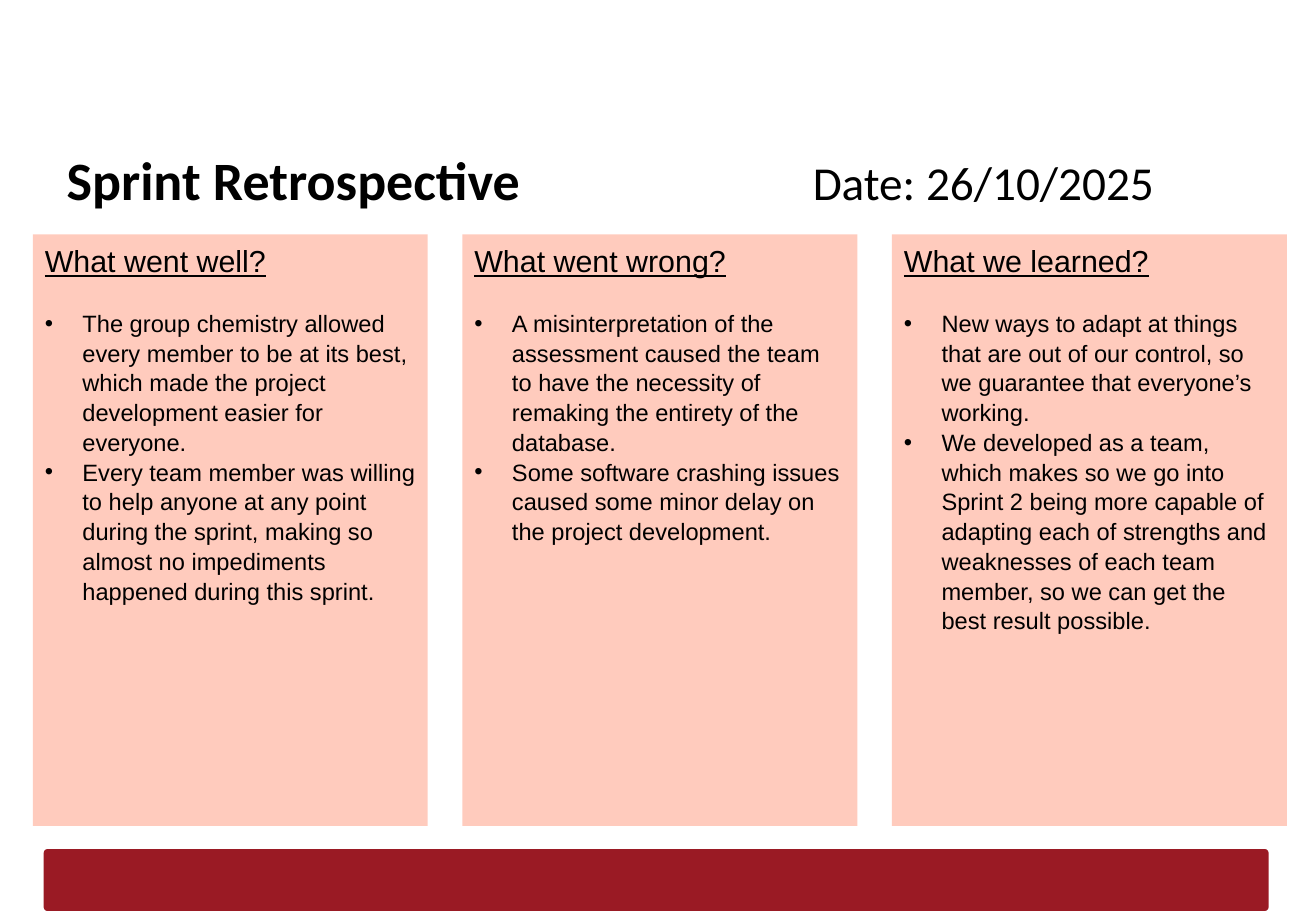
from lxml import etree
from pptx import Presentation
from pptx.dml.color import RGBColor
from pptx.enum.shapes import MSO_SHAPE
from pptx.enum.text import MSO_ANCHOR, PP_ALIGN
from pptx.oxml.ns import qn
from pptx.util import Inches, Pt

RECTANGLE = MSO_SHAPE.RECTANGLE
ROUNDED = MSO_SHAPE.ROUNDED_RECTANGLE
TOP = MSO_ANCHOR.TOP
LEFT = PP_ALIGN.LEFT

BLACK, PEACH, CRIMSON = "000000", "FFCBBD", "9A1A24"
PANEL_WIDTH, PANEL_PITCH = 3.25, 3.535
PANELS = [
    ("What went well?", [
        "The group chemistry allowed every member to be at its best, which made the "
        "project development easier for everyone.",
        "Every team member was willing to help anyone at any point during the sprint, "
        "making so almost no impediments happened during this sprint.",
    ]),
    ("What went wrong?", [
        "A misinterpretation of the assessment caused the team to have the necessity of "
        "remaking the entirety of the database.",
        "Some software crashing issues caused some minor delay on the project development.",
    ]),
    ("What we learned?", [
        "New ways to adapt at things that are out of our control, so we guarantee that "
        "everyone’s working.",
        "We developed as a team, which makes so we go into Sprint 2 being more capable of "
        "adapting each of strengths and weaknesses of each team member, so we can get the "
        "best result possible.",
    ]),
]


def color(hex_code):
    """Turn a hex string into a colour."""
    return RGBColor.from_string(hex_code)


def add_run(paragraph, text, face, size, bold=False, underline=False):
    """Append one formatted run to a paragraph."""
    run = paragraph.add_run()
    run.text = text
    run.font.name = face
    run.font.size = Pt(size)
    run.font.bold = bold
    run.font.underline = underline
    run.font.color.rgb = color(BLACK)


def add_block(slide, kind, box, fill):
    """Add a plain filled shape without line or shadow."""
    block = slide.shapes.add_shape(kind, *map(Inches, box))
    block.shadow.inherit = False
    block.fill.solid()
    block.fill.fore_color.rgb = color(fill)
    block.line.fill.background()
    return block


def add_bullet(paragraph, indent):
    """Give a paragraph a bullet with a hanging indent."""
    properties = paragraph._p.get_or_add_pPr()
    properties.set("marL", str(Inches(indent)))
    properties.set("indent", str(-Inches(indent)))
    etree.SubElement(properties, qn("a:buFont"), typeface="Arial")
    etree.SubElement(properties, qn("a:buChar"), char="•")


def add_header(slide, box, date_offset):
    """Place the title and, at a tab stop, the sprint date."""
    header = slide.shapes.add_textbox(*map(Inches, box)).text_frame
    header.word_wrap = True
    header.vertical_anchor = TOP
    header.margin_top = header.margin_bottom = Inches(0.1)
    heading = header.paragraphs[0]
    tabs = etree.SubElement(heading._p.get_or_add_pPr(), qn("a:tabLst"))
    etree.SubElement(tabs, qn("a:tab"), pos=str(Inches(date_offset)), algn="l")
    add_run(heading, "Sprint Retrospective\t", "Calibri", 32, bold=True)
    add_run(heading, "Date: 26/10/2025", "Calibri", 28)


def add_panel(slide, box, question, answers):
    """Place one question panel with its bulleted answers."""
    panel = add_block(slide, RECTANGLE, box, PEACH).text_frame
    panel.word_wrap = True
    panel.vertical_anchor = TOP
    heading = panel.paragraphs[0]
    heading.alignment = LEFT
    heading.line_spacing = 1.05
    add_run(heading, question, "Arial", 18, underline=True)
    for index, answer in enumerate(answers):
        point = panel.add_paragraph()
        point.alignment = LEFT
        point.line_spacing = 1.05
        point.space_before = Pt(0 if index else 17)
        add_bullet(point, 0.31)
        add_run(point, answer, "Arial", 14)


def add_footer(slide, box):
    """Place the rounded bar at the foot of the slide."""
    add_block(slide, ROUNDED, box, CRIMSON).adjustments[0] = 0.06


def main():
    """Build and save the retrospective slide."""
    deck = Presentation()
    deck.slide_width, deck.slide_height = Inches(10.83), Inches(7.5)
    slide = deck.slides.add_slide(deck.slide_layouts[6])
    add_footer(slide, (0.36, 6.99, 10.08, 0.51))
    add_header(slide, (0.45, 1.11, 9.89, 0.63), 6.14)
    for index, (question, answers) in enumerate(PANELS):
        left = 0.27 + index * PANEL_PITCH
        add_panel(slide, (left, 1.93, PANEL_WIDTH, 4.87), question, answers)
    deck.save("out.pptx")


if __name__ == "__main__":
    main()
